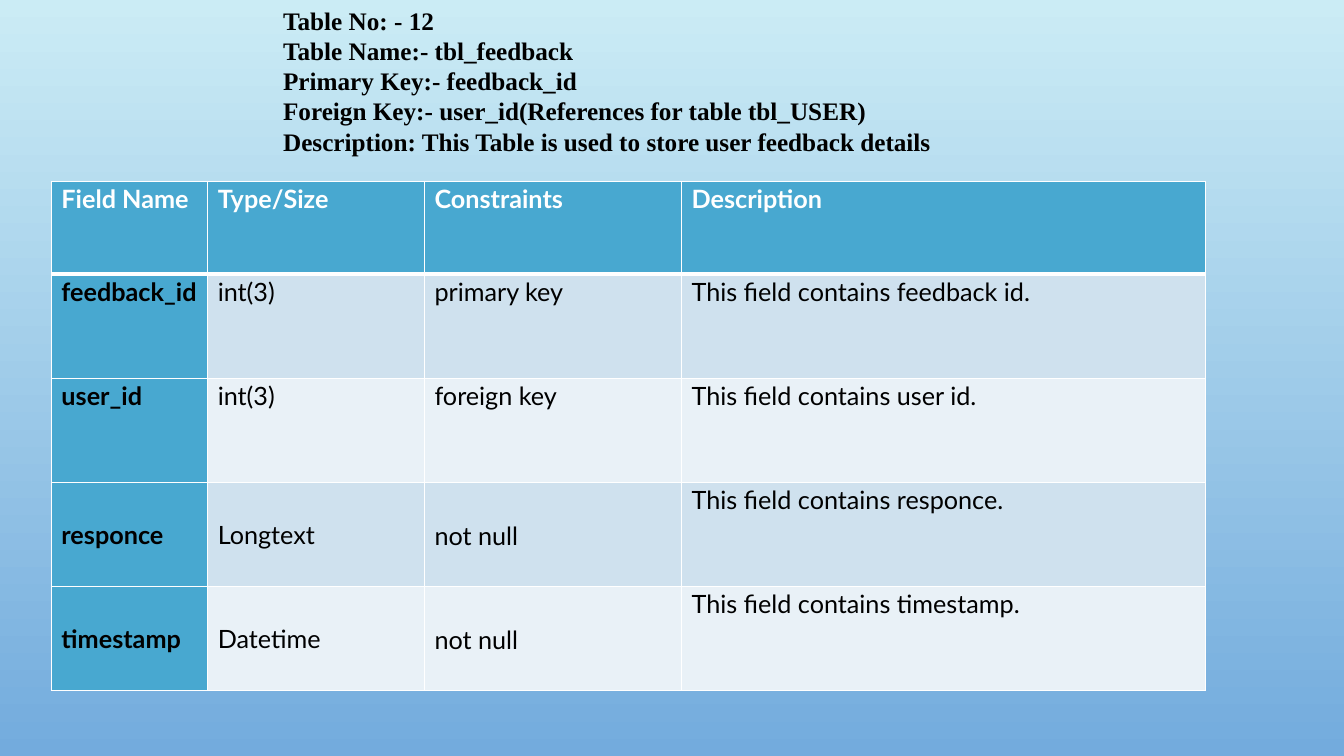
from lxml.etree import SubElement
from pptx import Presentation
from pptx.dml.color import RGBColor
from pptx.enum.text import MSO_ANCHOR as Anchor
from pptx.oxml.ns import qn
from pptx.util import Inches, Pt

ACCENT, WHITE, BLACK = "48A8D0", "FFFFFF", "000000"
BANDS = ["CFE1EE", "E9F1F7"]
HEADING = [
    "Table No: - 12",
    "Table Name:- tbl_feedback",
    "Primary Key:- feedback_id",
    "Foreign Key:- user_id(References for table tbl_USER)",
    "Description: This Table is used to store user feedback details",
]
FIELDS = [
    ["Field Name", "Type/Size", "Constraints", "Description"],
    ["feedback_id", "int(3)", "primary key", "This field contains feedback id."],
    ["user_id", "int(3)", "foreign key", "This field contains user id."],
    ["responce", "Longtext", "not null", "This field contains responce."],
    ["timestamp", "Datetime", "not null", "This field contains timestamp."],
]
COLUMN_WIDTHS = [1.55, 2.15, 2.55, 5.2]
HEADER_HEIGHT = 0.92
FIRST_CENTRED_ROW = 3


def color(value):
    return RGBColor.from_string(value)


def add_run(paragraph, text, font, fill, bold):
    run = paragraph.add_run()
    run.text = text
    run.font.name = font
    run.font.size = Pt(18)
    run.font.bold = bold
    run.font.color.rgb = color(fill)


def paint_background(slide, top, bottom):
    fill = slide.background.fill
    fill.gradient()
    fill.gradient_angle = 270
    for stop, value, position in zip(fill.gradient_stops, (top, bottom), (0, 1)):
        stop.color.rgb = color(value)
        stop.position = position


def add_heading(slide, left, top, width, height):
    box = slide.shapes.add_textbox(*map(Inches, (left, top, width, height)))
    frame = box.text_frame
    frame.word_wrap = True
    for index, line in enumerate(HEADING):
        paragraph = frame.add_paragraph() if index else frame.paragraphs[0]
        add_run(paragraph, line, "Times New Roman", BLACK, True)


def set_borders(cell, widths):
    """Put white lines before the fill, in the order the schema asks for."""
    properties = cell._tc.get_or_add_tcPr()
    for index, (side, width) in enumerate(widths.items()):
        line = SubElement(properties, qn(f"a:ln{side}"), w=str(Pt(width)))
        fill = SubElement(line, qn("a:solidFill"))
        SubElement(fill, qn("a:srgbClr"), val=WHITE)
        properties.insert(index, line)


def fill_cell(cell, text, row, column):
    is_header, is_key = row == 0, column == 0
    centred = row >= FIRST_CENTRED_ROW and column < 3
    cell.fill.solid()
    cell.fill.fore_color.rgb = color(
        ACCENT if is_header or is_key else BANDS[(row - 1) % 2])
    set_borders(cell, {"L": 1, "R": 1, "T": 3 if row == 1 else 1,
                       "B": 3 if is_header else 1})

    # Lower rows centre all but their description
    if centred:
        cell.vertical_anchor = Anchor.MIDDLE
    else:
        cell.margin_top = cell.margin_bottom = 0
    paragraph = cell.text_frame.paragraphs[0]
    if not centred or column == 2:
        paragraph.line_spacing = 1.07
        paragraph.space_after = Pt(8)
    add_run(paragraph, text, "Lato", WHITE if is_header else BLACK,
            is_header or is_key)


def add_field_table(slide, left, top, width, height):
    frame = slide.shapes.add_table(len(FIELDS), len(COLUMN_WIDTHS),
                                   *map(Inches, (left, top, width, height)))
    table = frame.table
    for column, share in zip(table.columns, COLUMN_WIDTHS):
        column.width = Inches(width * share / sum(COLUMN_WIDTHS))
    body_height = (height - HEADER_HEIGHT) / (len(FIELDS) - 1)
    for row, texts in enumerate(FIELDS):
        table.rows[row].height = Inches(body_height if row else HEADER_HEIGHT)
        for column, text in enumerate(texts):
            fill_cell(table.cell(row, column), text, row, column)


presentation = Presentation()
presentation.slide_width = Inches(13.33)
presentation.slide_height = Inches(7.5)
slide = presentation.slides.add_slide(presentation.slide_layouts[6])
paint_background(slide, "CBECF5", "73ABDD")
add_heading(slide, 2.71, 0, 8.69, 1.62)
add_field_table(slide, 0.51, 1.8, 11.45, 5.05)
presentation.save("out.pptx")
